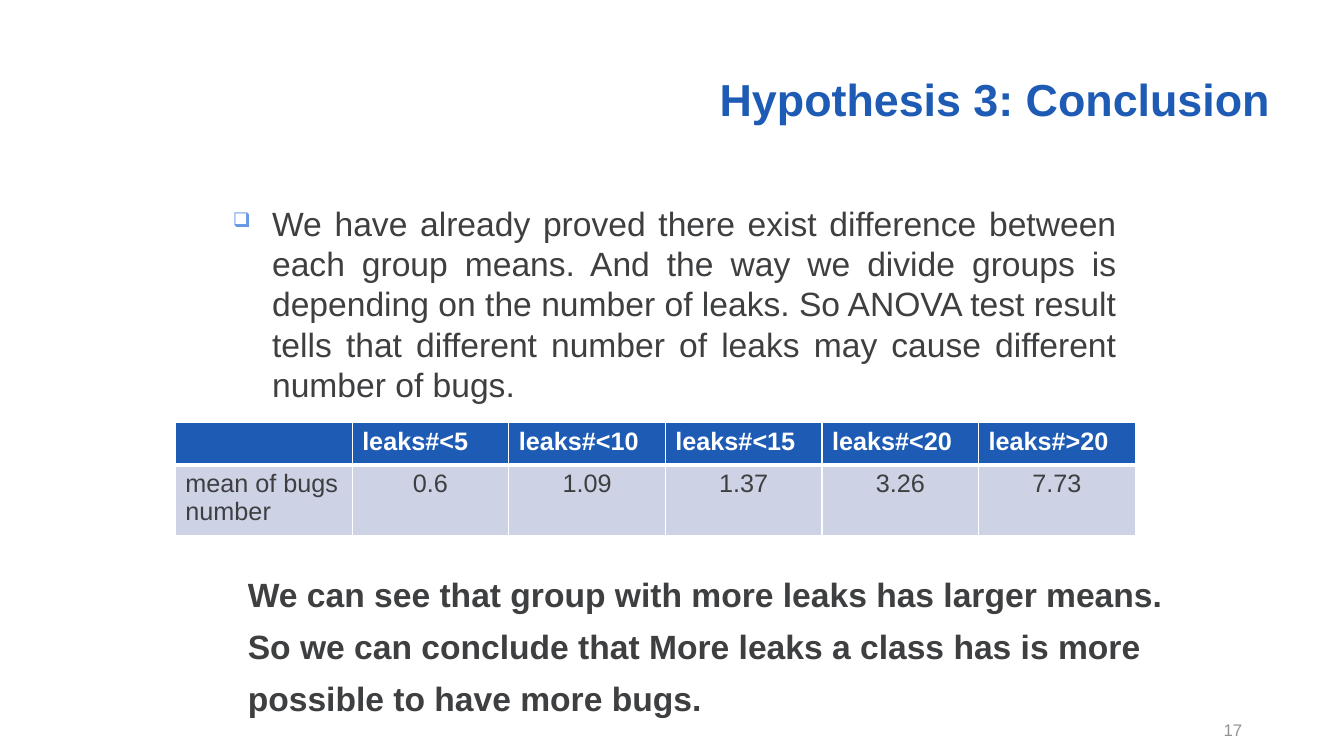
from dataclasses import dataclass

from lxml import etree
from pptx import Presentation
from pptx import util as u
from pptx.dml.color import RGBColor
from pptx.enum import text
from pptx.oxml import ns


@dataclass(frozen=True)
class Theme:
    font: str = "Arial"
    accent: str = "1E5BB4"
    bullet: str = "6599E5"
    ink: str = "3D3F41"
    muted: str = "929393"
    band: str = "CDD2E5"
    white: str = "FFFFFF"
    title: int = 32
    body: int = 24
    cell: int = 18
    small: int = 12


T = Theme()
ALIGN = text.PP_ALIGN
ANCHOR = text.MSO_ANCHOR
WIDTH, HEIGHT = u.Inches(13.33), u.Inches(7.5)


def area(left, top, width, height):
    """Turn percentages of the slide into a box."""
    return [int(share * side / 100) for share, side in
            zip((left, top, width, height), (WIDTH, HEIGHT) * 2)]


def style(p, size, color, bold=False, align=ALIGN.LEFT):
    p.alignment = align
    p.font.name, p.font.size, p.font.bold = T.font, u.Pt(size), bold
    p.font.color.rgb = RGBColor.from_string(color)


def add_text(slide, box, lines, size, color, bold=False, align=ALIGN.LEFT,
             anchor=ANCHOR.TOP, spacing=None, wrap=True):
    tf = slide.shapes.add_textbox(*box).text_frame
    tf.word_wrap, tf.vertical_anchor = wrap, anchor
    for i, line in enumerate(lines):
        p = tf.add_paragraph() if i else tf.paragraphs[0]
        p.text = line
        p.line_spacing = spacing
        style(p, size, color, bold, align)
    return tf


def add_title(slide, box):
    add_text(slide, box, ["Hypothesis 3: Conclusion"], T.title, T.accent,
             True, ALIGN.RIGHT, ANCHOR.BOTTOM, 0.9)


def add_argument(slide, box):
    tf = add_text(slide, box, [
        "We have already proved there exist difference between each group "
        "means. And the way we divide groups is depending on the number of "
        "leaks. So ANOVA test result tells that different number of leaks "
        "may cause different number of bugs."], T.body, T.ink,
        align=ALIGN.JUSTIFY)
    p = tf.paragraphs[0]
    p.space_before = p.space_after = u.Pt(3)
    # Hanging square bullet, placed ahead of the font defaults
    pPr = p._p.get_or_add_pPr()
    indent = u.Inches(0.39)
    pPr.set("marL", str(indent))
    pPr.set("indent", str(-indent))
    defaults = pPr.find(ns.qn("a:defRPr"))
    for tag, key, value in (("buClr", None, None), ("buSzPct", "val", "60000"),
                            ("buChar", "char", "❑")):
        el = etree.Element(ns.qn("a:" + tag))
        if key:
            el.set(key, value)
        else:
            etree.SubElement(el, ns.qn("a:srgbClr")).set("val", T.bullet)
        defaults.addprevious(el)


def set_borders(cell, bottom):
    tcPr = cell._tc.get_or_add_tcPr()
    widths = (("lnL", 1), ("lnR", 1), ("lnT", 1), ("lnB", bottom))
    for i, (tag, width) in enumerate(widths):
        ln = etree.Element(ns.qn("a:" + tag), w=str(u.Pt(width)))
        fill = etree.SubElement(ln, ns.qn("a:solidFill"))
        etree.SubElement(fill, ns.qn("a:srgbClr")).set("val", T.white)
        tcPr.insert(i, ln)


def add_means_table(slide, box):
    rows = (("", "leaks#<5", "leaks#<10", "leaks#<15", "leaks#<20", "leaks#>20"),
            ("mean of bugs number", "0.6", "1.09", "1.37", "3.26", "7.73"))
    weights = (35, 31, 31, 31, 31, 31)
    table = slide.shapes.add_table(len(rows), len(weights), *box).table
    for column, weight in zip(table.columns, weights):
        column.width = int(box[2] * weight / sum(weights))
    for r, row in enumerate(rows):
        header = r == 0
        for c, value in enumerate(row):
            cell = table.cell(r, c)
            cell.text = value
            cell.fill.solid()
            cell.fill.fore_color.rgb = RGBColor.from_string(
                T.accent if header else T.band)
            set_borders(cell, 3 if header else 1)
            style(cell.text_frame.paragraphs[0], T.cell,
                  T.white if header else T.ink, header,
                  ALIGN.LEFT if header or c == 0 else ALIGN.CENTER)


def add_conclusion(slide, box):
    add_text(slide, box, [
        "We can see that group with more leaks has larger means.",
        "So we can conclude that More leaks a class has is more",
        "possible to have more bugs."], T.body, T.ink, True,
        spacing=1.3, wrap=False)


def add_page_number(slide, box):
    add_text(slide, box, ["17"], T.small, T.muted, align=ALIGN.RIGHT,
             anchor=ANCHOR.MIDDLE)


def main():
    prs = Presentation()
    prs.slide_width, prs.slide_height = WIDTH, HEIGHT
    slide = prs.slides.add_slide(prs.slide_layouts[6])
    add_title(slide, area(37.66, 7.07, 57.61, 10.27))
    add_argument(slide, area(16.58, 26.13, 67.22, 28.4))
    add_means_table(slide, area(13.05, 55.87, 71.42, 11.2))
    add_conclusion(slide, area(17.7, 73.6, 70.22, 22.13))
    add_page_number(slide, area(70.67, 93.87, 22.5, 5.33))
    prs.save("out.pptx")


if __name__ == "__main__":
    main()
